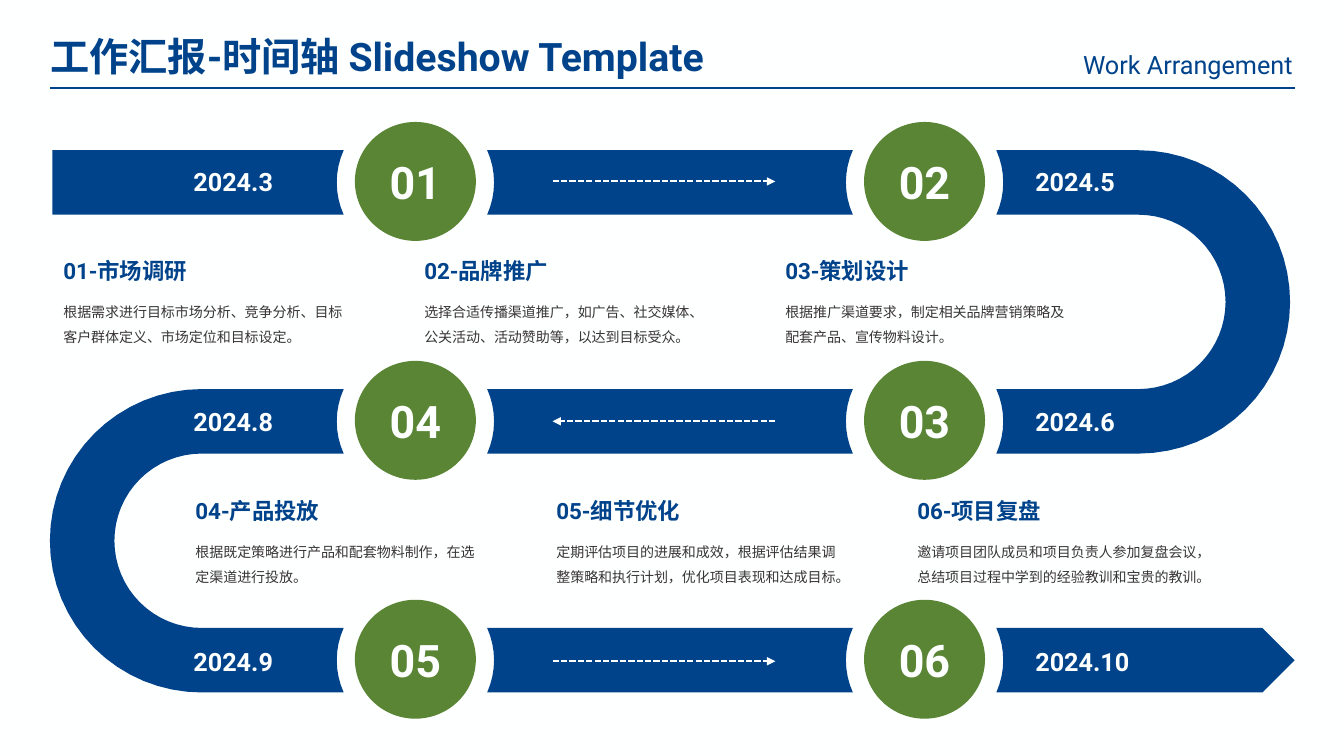
from math import asin, cos, pi, sin

from lxml import etree
from pptx import Presentation
from pptx.dml.color import RGBColor
from pptx.enum.dml import MSO_LINE
from pptx.enum.shapes import MSO_CONNECTOR, MSO_SHAPE
from pptx.enum.text import MSO_ANCHOR, MSO_AUTO_SIZE, PP_ALIGN
from pptx.oxml.ns import qn
from pptx.util import Inches, Pt

STRAIGHT, OVAL, DASH = MSO_CONNECTOR.STRAIGHT, MSO_SHAPE.OVAL, MSO_LINE.SQUARE_DOT
LEFT, CENTER, RIGHT = PP_ALIGN.LEFT, PP_ALIGN.CENTER, PP_ALIGN.RIGHT
TOP, MIDDLE = MSO_ANCHOR.TOP, MSO_ANCHOR.MIDDLE
FIT = MSO_AUTO_SIZE.SHAPE_TO_FIT_TEXT

# Content
TITLE = "工作汇报-时间轴 Slideshow Template"
SUBTITLE = "Work Arrangement"
STATIONS = [("01", "02"), ("04", "03"), ("05", "06")]
DATES = [("2024.3", "2024.5"), ("2024.8", "2024.6"), ("2024.9", "2024.10")]
TASKS = [
    [("01-市场调研", "根据需求进行目标市场分析、竞争分析、目标客户群体定义、市场定位和目标设定。"),
     ("02-品牌推广", "选择合适传播渠道推广，如广告、社交媒体、公关活动、活动赞助等，以达到目标受众。"),
     ("03-策划设计", "根据推广渠道要求，制定相关品牌营销策略及配套产品、宣传物料设计。")],
    [("04-产品投放", "根据既定策略进行产品和配套物料制作，在选定渠道进行投放。"),
     ("05-细节优化", "定期评估项目的进展和成效，根据评估结果调整策略和执行计划，优化项目表现和达成目标。"),
     ("06-项目复盘", "邀请项目团队成员和项目负责人参加复盘会议，总结项目过程中学到的经验教训和宝贵的教训。")],
]
COLORS = {"blue": "00438B", "green": "598535", "white": "FEFFFF", "ink": "383535"}
FONT = "Roboto"

# Grid, in inches
WIDTH, HEIGHT = 13.33, 7.5
RULE_LEFT, RULE_RIGHT, RULE_Y = 0.5, 12.84, 0.87
ROAD_LEFT, TIP = 0.52, 0.32
ROAD_Y, ROAD_HALF, ROAD_PITCH = 1.81, 0.32, 2.37
HUB_X, HUB_RISE, HUB_SIZE, GAP_RADIUS = (4.12, 9.17), 0.01, (1.2, 1.18), 0.78
BEND_X = (2.0, 11.29)
LABEL_Y, LABEL_PITCH = 1.8, 2.38
DATE_X, ARROW_X = (1.82, 10.17), (5.48, 7.69)
TASK_X, TASK_Y, TASK_PITCH = (0.53, 1.84), 2.5, 3.58

deck = Presentation()
deck.slide_width, deck.slide_height = Inches(WIDTH), Inches(HEIGHT)
page = deck.slides.add_slide(deck.slide_layouts[5])


def color(name):
    return RGBColor.from_string(COLORS[name])


def write(shape, text, size, tint, bold=False, align=LEFT, anchor=TOP,
          wrap=True, spacing=1.0, after=5, fit=FIT):
    frame = shape.text_frame
    frame.word_wrap, frame.auto_size, frame.vertical_anchor = wrap, fit, anchor
    para = frame.paragraphs[0]
    para.alignment, para.line_spacing = align, spacing
    para.space_before, para.space_after = Pt(0), Pt(after)
    span = para.add_run()
    span.text = text
    font = span.font
    font.name, font.size, font.bold = FONT, Pt(size), bold
    font.color.rgb = color(tint)


def label(left, top, width, height, text, **style):
    box = page.shapes.add_textbox(*map(Inches, (left, top, width, height)))
    write(box, text, **style)


def paint(shape, tint):
    shape.shadow.inherit = False
    shape.fill.solid()
    shape.fill.fore_color.rgb = color(tint)
    shape.line.fill.background()


def stroke(start, end, y, tint, arrow=False):
    line = page.shapes.add_connector(STRAIGHT, *map(Inches, (start, y, end, y)))
    line.line.width = Pt(1.5)
    line.line.color.rgb = color(tint)
    if arrow:
        line.line.dash_style = DASH
        head = etree.SubElement(line.line._get_or_add_ln(), qn("a:tailEnd"))
        head.set("type", "triangle")
    etree.SubElement(line._element.spPr, qn("a:effectLst"))


# Road geometry: every outline runs from top to bottom
def road_y(row):
    return ROAD_Y + row * ROAD_PITCH


def arc(x, y, radius, side, reach=pi / 2, steps=32):
    angles = [reach * (2 * step / steps - 1) for step in range(steps + 1)]
    return [(x + side * radius * cos(a), y + radius * sin(a)) for a in angles]


def gap_edge(hub, side, row):
    return arc(HUB_X[hub], road_y(row), GAP_RADIUS, side, asin(ROAD_HALF / GAP_RADIUS), 8)


def road(points):
    points = [(Inches(x), Inches(y)) for x, y in points]
    builder = page.shapes.build_freeform(*points[0], scale=1.0)
    builder.add_line_segments(points[1:], close=True)
    paint(builder.convert_to_shape(), "blue")


def straight(left_edge, right_edge):
    road(left_edge + right_edge[::-1])


def bend(hub, side, row):
    x, y = BEND_X[hub], road_y(row + 0.5)
    outer = arc(x, y, ROAD_PITCH / 2 + ROAD_HALF, side)
    inner = arc(x, y, ROAD_PITCH / 2 - ROAD_HALF, side)
    road(outer + gap_edge(hub, side, row + 1)[::-1] + inner[::-1]
         + gap_edge(hub, side, row)[::-1])


# Background and heading
page.background.fill.solid()
page.background.fill.fore_color.rgb = color("white")
title = page.shapes.title
title.left, title.top, title.width, title.height = map(Inches, (0.4, 0.27, 7.3, 0.57))
write(title, TITLE, size=28, tint="blue", bold=True, wrap=False)
label(10.44, 0.44, 2.48, 0.4, SUBTITLE, size=18, tint="blue", align=RIGHT, wrap=False)
stroke(RULE_LEFT, RULE_RIGHT, RULE_Y, "blue")

# Road
first, last = road_y(0), road_y(2)
straight([(ROAD_LEFT, first - ROAD_HALF), (ROAD_LEFT, first + ROAD_HALF)], gap_edge(0, -1, 0))
bend(1, 1, 0)
bend(0, -1, 1)
for row in range(3):
    straight(gap_edge(0, 1, row), gap_edge(1, -1, row))
straight(gap_edge(1, 1, 2), [(RULE_RIGHT - TIP, last - ROAD_HALF), (RULE_RIGHT, last),
                             (RULE_RIGHT - TIP, last + ROAD_HALF)])

# Stations, dates and direction arrows
for row, (numbers, dates) in enumerate(zip(STATIONS, DATES)):
    middle = LABEL_Y + row * LABEL_PITCH
    for hub_x, number, date_x, date in zip(HUB_X, numbers, DATE_X, dates):
        wide, high = HUB_SIZE
        place = hub_x - wide / 2, road_y(row) - HUB_RISE - high / 2, wide, high
        hub = page.shapes.add_shape(OVAL, *map(Inches, place))
        paint(hub, "green")
        write(hub, number, size=32, tint="white", bold=True, align=CENTER,
              anchor=MIDDLE, wrap=False, after=0, fit=MSO_AUTO_SIZE.NONE)
        label(date_x, middle - 0.2, 1.03 if len(date) < 7 else 1.18, 0.4, date,
              size=18, tint="white", bold=True, wrap=False)
    start, end = ARROW_X if row % 2 == 0 else ARROW_X[::-1]
    stroke(start, end, middle, "white", arrow=True)

# Tasks between the road rows
for row, tasks in enumerate(TASKS):
    for column, (heading, detail) in enumerate(tasks):
        left, top = TASK_X[row] + column * TASK_PITCH, TASK_Y + row * LABEL_PITCH
        label(left, top, 2.83, 0.37, heading, size=16, tint="blue", bold=True)
        label(left, top + 0.38, 3, 0.58, detail, size=10, tint="ink", spacing=1.5)

deck.save("out.pptx")
